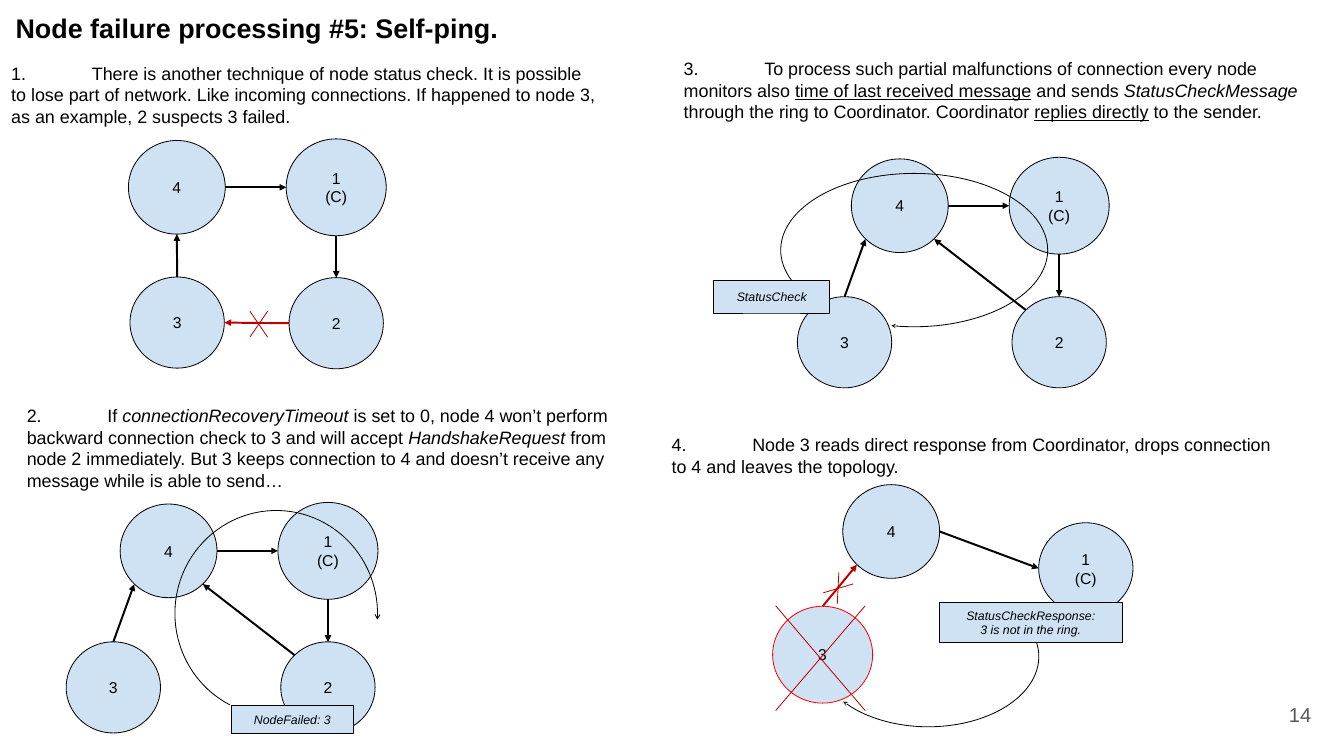
import pptx
import pptx.dml.color
import pptx.enum.shapes
import pptx.enum.text
import pptx.oxml
import pptx.oxml.ns
import pptx.util

Cm, Pt = pptx.util.Cm, pptx.util.Pt
RGBColor = pptx.dml.color.RGBColor
SHAPE = pptx.enum.shapes.MSO_SHAPE
ALIGN = pptx.enum.text.PP_ALIGN
ANCHOR = pptx.enum.text.MSO_ANCHOR
qn = pptx.oxml.ns.qn
NS = pptx.oxml.ns.nsdecls("a")

BLACK = RGBColor(0x00, 0x00, 0x00)
GREY = RGBColor(0x59, 0x59, 0x59)
PALE_BLUE = RGBColor(0xCF, 0xE2, 0xF3)
DARK_RED = RGBColor(0xC0, 0x00, 0x00)
RED = RGBColor(0xFF, 0x00, 0x00)


def add_run(paragraph, text, size, color=BLACK, bold=False, italic=False, underline=False):
    run = paragraph.add_run()
    run.text = text
    font = run.font
    font.name, font.size, font.color.rgb = "Arial", Pt(size), color
    font.bold, font.italic, font.underline = bold, italic, underline


def add_line(start, end, color, width, arrow=False):
    line = slide.shapes.add_connector(
        pptx.enum.shapes.MSO_CONNECTOR.STRAIGHT, *(Cm(v) for v in (*start, *end)))
    line.line.color.rgb, line.line.width = color, Pt(width)
    properties = line._element.spPr
    if arrow:
        properties.find(qn("a:ln")).append(
            pptx.oxml.parse_xml(f'<a:tailEnd {NS} type="triangle"/>'))
    properties.append(pptx.oxml.parse_xml(f"<a:effectLst {NS}/>"))


presentation = pptx.Presentation()
presentation.slide_width, presentation.slide_height = Cm(42.33), Cm(23.81)
slide = presentation.slides.add_slide(presentation.slide_layouts.get_by_name("Comparison"))

# Title
title = slide.shapes.title
title.left, title.top, title.width, title.height = Cm(0.11), Cm(0), Cm(31.72), Cm(1.52)
frame = title.text_frame
frame.margin_left = frame.margin_top = frame.margin_right = frame.margin_bottom = Cm(0.38)
frame.vertical_anchor = ANCHOR.TOP
frame.auto_size = pptx.enum.text.MSO_AUTO_SIZE.NONE
frame.paragraphs[0].alignment = ALIGN.LEFT
add_run(frame.paragraphs[0], "Node failure processing #5: Self-ping.", 24, bold=True)

# Four numbered steps: box, then runs with their style
PLAIN, ITALIC, UNDERLINE = {}, {"italic": True}, {"underline": True}
steps = [
    ((0.1, 1.83, 18.97, 2.31), [
        ("There is another technique of node status check. It is possible to lose part of "
         "network. Like incoming connections. If happened to node 3, as an example, "
         "2 suspects 3 failed.", PLAIN)]),
    ((0.59, 12.62, 19.2, 3), [
        ("If ", PLAIN), ("connectionRecoveryTimeout", ITALIC),
        (" is set to 0, node 4 won’t perform backward connection check to 3 and will accept ",
         PLAIN),
        ("HandshakeRequest ", ITALIC),
        ("from node 2 immediately. But 3 keeps connection to 4 and doesn’t receive any "
         "message while is able to send…", PLAIN)]),
    ((21.28, 1.7, 19.94, 2.31), [
        ("To process such partial malfunctions of connection every node monitors also ", PLAIN),
        ("time of last received message", UNDERLINE), (" and sends ", PLAIN),
        ("StatusCheckMessage", ITALIC),
        (" through the ring to Coordinator. Coordinator ", PLAIN),
        ("replies directly", UNDERLINE), (" to the sender.", PLAIN)]),
    ((20.9, 13.54, 19.94, 1.63), [
        ("Node 3 reads direct response from Coordinator, drops connection to 4 and leaves "
         "the topology.", PLAIN)]),
]
for number, (box, runs) in enumerate(steps, start=1):
    step = slide.placeholders[number]
    step.left, step.top, step.width, step.height = (Cm(v) for v in box)
    frame = step.text_frame
    frame.vertical_anchor = ANCHOR.TOP
    frame.auto_size = pptx.enum.text.MSO_AUTO_SIZE.NONE
    paragraph = frame.paragraphs[0]
    paragraph.alignment = ALIGN.LEFT
    paragraph.line_spacing, paragraph.space_before = 1.0, Pt(0)
    properties = paragraph._p.get_or_add_pPr()
    for key, value in (("marL", 0), ("indent", 0), ("defTabSz", Cm(2.54))):
        properties.set(key, str(int(value)))
    properties.append(pptx.oxml.parse_xml(f"<a:buNone {NS}/>"))
    add_run(paragraph, f"{number}.\t", 16)
    for text, style in runs:
        add_run(paragraph, text, 16, **style)

# Rings: centre of node 4, then the other nodes' offsets from it
LARGE, MEDIUM, SMALL = (3.15, 3.05), (3.05, 2.95), (2.97, 2.87)
broken_ring = {1: (5.02, 0, LARGE), 2: (5.02, 4.3, SMALL), 3: (-1.74, 4.3, SMALL)}
rings = [
    ((5.57, 5.9), {1: (5.02, 0, LARGE), 2: (5.02, 4.28, SMALL), 3: (0.01, 4.26, SMALL)}),
    ((5.31, 17.35), broken_ring),
    ((28.34, 6.48), broken_ring),
    ((28.07, 16.74), {1: (6.13, 1.16, SMALL), 3: (-2.16, 3.88, LARGE)}),
]
nodes = {}
boxes = []
for ring, ((x, y), others) in enumerate(rings):
    for node, (dx, dy, size) in {4: (0, 0, MEDIUM), **others}.items():
        nodes[ring, node] = (x + dx, y + dy, *size)
        lines = ["1", "(C)"] if node == 1 else [str(node)]
        outline = RED if (ring, node) == (3, 3) else BLACK
        boxes.append((SHAPE.OVAL, nodes[ring, node], lines, outline, 14))

# Message labels, centred like the nodes
boxes += [
    (SHAPE.RECTANGLE, (9.21, 22.65, 3.84, 0.89), ["NodeFailed: 3"], BLACK, 11),
    (SHAPE.RECTANGLE, (24.31, 9.34, 3.66, 1.04), ["StatusCheck"], BLACK, 11),
    (SHAPE.RECTANGLE, (32.47, 19.61, 5.77, 1.27),
     ["StatusCheckResponse:", "3 is not in the ring."], BLACK, 11),
]
for kind, (x, y, width, height), lines, outline, size in boxes:
    box = slide.shapes.add_shape(
        kind, Cm(x - width / 2), Cm(y - height / 2), Cm(width), Cm(height))
    box.shadow.inherit = False
    box.fill.solid()
    box.fill.fore_color.rgb = PALE_BLUE
    box.line.color.rgb, box.line.width = outline, Pt(0.75)
    frame = box.text_frame
    frame.word_wrap = False
    frame.vertical_anchor = ANCHOR.MIDDLE
    frame.margin_left = frame.margin_top = frame.margin_right = frame.margin_bottom = 0
    for index, text in enumerate(lines):
        paragraph = frame.add_paragraph() if index else frame.paragraphs[0]
        paragraph.alignment = ALIGN.CENTER
        add_run(paragraph, text, size, italic=kind == SHAPE.RECTANGLE)

# Connections between points on the node outlines
TOP, BOTTOM, LEFT, RIGHT = (0, -1), (0, 1), (-1, 0), (1, 0)
TOP_LEFT, BOTTOM_LEFT, BOTTOM_RIGHT = (-0.71, -0.71), (-0.71, 0.71), (0.71, 0.71)
broken_links = [(4, RIGHT, 1, LEFT, BLACK), (1, BOTTOM, 2, TOP, BLACK),
                (3, TOP, 4, BOTTOM_LEFT, BLACK), (2, TOP_LEFT, 4, BOTTOM_RIGHT, BLACK)]
links = [
    [(4, RIGHT, 1, LEFT, BLACK), (1, BOTTOM, 2, TOP, BLACK),
     (2, LEFT, 3, RIGHT, DARK_RED), (3, TOP, 4, BOTTOM, BLACK)],
    broken_links,
    broken_links,
    [(4, RIGHT, 1, LEFT, BLACK), (3, TOP, 4, BOTTOM_LEFT, DARK_RED)],
]
for ring, ring_links in enumerate(links):
    for sender, exit_side, receiver, entry_side, color in ring_links:
        ends = []
        for node, (sx, sy) in ((sender, exit_side), (receiver, entry_side)):
            x, y, width, height = nodes[ring, node]
            ends.append((x + sx * width / 2, y + sy * height / 2))
        add_line(*ends, color, 1.75, arrow=True)

# Strokes crossing out the failed links and node 3
strokes = [((26.42, 18.03), (26.37, 19.02)), ((26.87, 18.39), (25.93, 18.67))]
for left, top, right, bottom in ((7.87, 9.8, 8.43, 10.62), (24.43, 19.08, 27.25, 22.38)):
    strokes += [((left, top), (right, bottom)), ((right, top), (left, bottom))]
for start, end in strokes:
    add_line(start, end, DARK_RED, 0.75)

# Message routes, mirrored arcs with the arrowhead at their start
routes = [
    ((5.51, 16.08, 6.38, 6.48), 0, (105.88, 37.94), "arrow"),
    ((24.59, 5.46, 8.41, 4.83), 180, (151.91, 116.4), "stealth"),
    ((25.76, 18.47, 6.96, 4.42), 180, (124.68, 4.51), "stealth"),
]
for box, rotation, angles, head in routes:
    route = slide.shapes.add_shape(SHAPE.ARC, *(Cm(v) for v in box))
    route.adjustments[0], route.adjustments[1] = angles
    route.rotation = rotation
    route.shadow.inherit = False
    route.fill.background()
    route.line.color.rgb, route.line.width = BLACK, Pt(0.75)
    properties = route._element.spPr
    properties.find(qn("a:xfrm")).set("flipH", "1")
    properties.find(qn("a:ln")).append(
        pptx.oxml.parse_xml(f'<a:headEnd {NS} type="{head}" w="sm" len="sm"/>'))

# Slide number
page = slide.shapes.add_textbox(Cm(39.22), Cm(21.59), Cm(2.54), Cm(1.83))
frame = page.text_frame
frame.word_wrap = True
frame.vertical_anchor = ANCHOR.MIDDLE
frame.margin_left = frame.margin_right = Cm(0.46)
frame.paragraphs[0].alignment = ALIGN.RIGHT
add_run(frame.paragraphs[0], "14", 18, color=GREY)

presentation.save("out.pptx")
